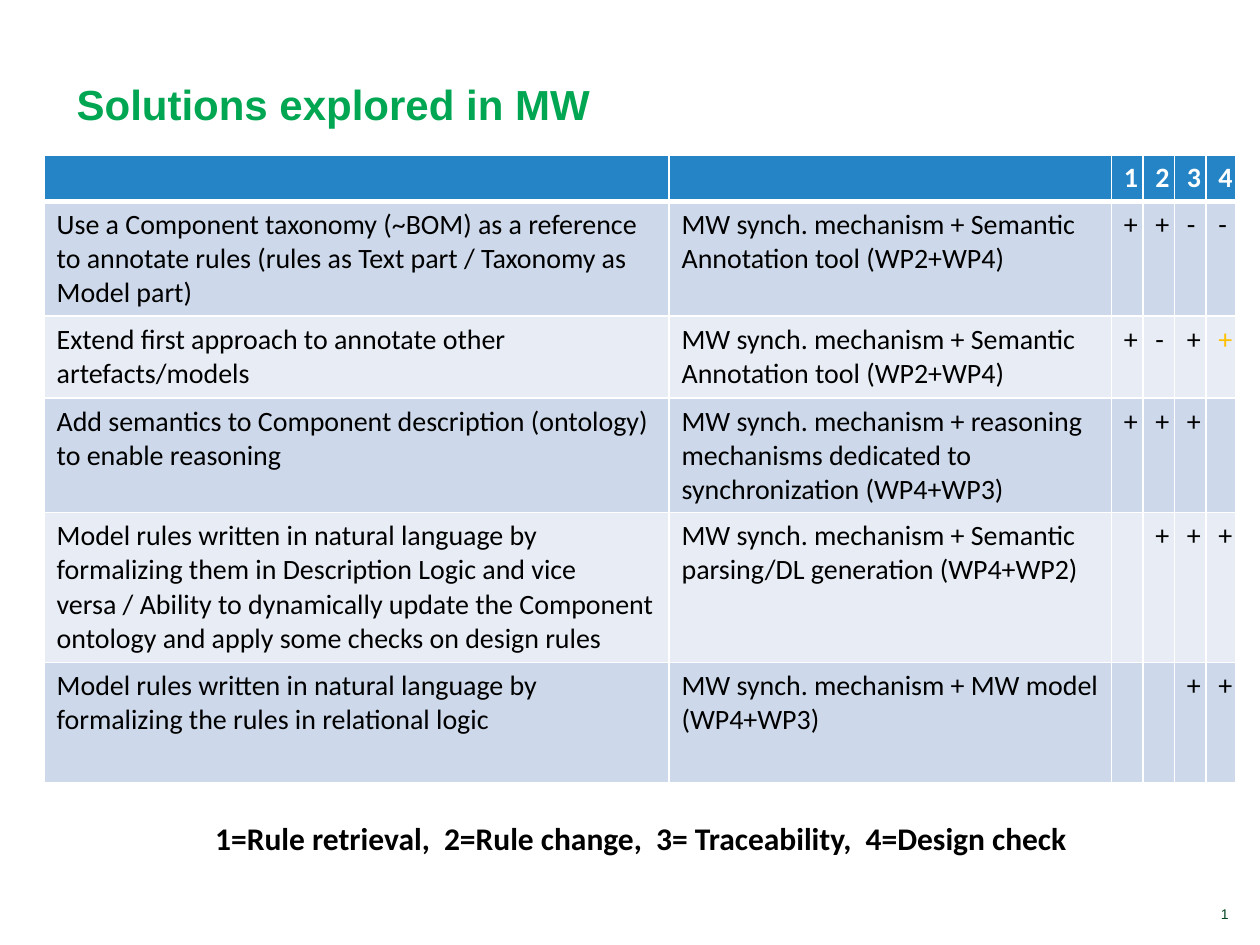
from dataclasses import dataclass

from lxml.etree import SubElement
from pptx import Presentation
from pptx.dml.color import RGBColor as Rgb
from pptx.enum.text import MSO_ANCHOR as Anchor, MSO_AUTO_SIZE as Fit, PP_ALIGN as Align
from pptx.oxml import parse_xml
from pptx.oxml.ns import nsdecls, qn
from pptx.util import Inches, Pt


@dataclass(frozen=True)
class Theme:
    green: str = "00A651"
    dark_green: str = "004621"
    header: str = "2484C6"
    bands: tuple = ("CDD9EA", "E8EDF5")
    white: str = "FFFFFF"
    black: str = "000000"
    amber: str = "FFC000"
    heading: str = "Arial"
    body: str = "Calibri"
    title_size: float = 24
    legend_size: float = 18
    table_size: float = 16
    number_size: float = 8


theme = Theme()


def write(frame, text, color, align=Align.LEFT, **font_values):
    para = frame.paragraphs[0]
    para.alignment = align
    span = para.add_run()
    span.text = text
    span.font.color.rgb = Rgb.from_string(color)
    for name, value in font_values.items():
        setattr(span.font, name, value)


def set_borders(cell, widths):
    for index, (side, width) in enumerate(widths.items()):
        line = parse_xml(
            f'<a:ln{side} {nsdecls("a")} w="{Pt(width)}"><a:solidFill>'
            f'<a:srgbClr val="{theme.white}"/></a:solidFill></a:ln{side}>')
        cell._tc.get_or_add_tcPr().insert(index, line)


deck = Presentation()
deck.slide_width, deck.slide_height = Inches(10), Inches(7.5)
slide = deck.slides.add_slide(deck.slide_layouts[6])

# Title, legend and page number
texts = [
    ("Solutions explored in MW", (0.51, 0.16, 6.81, 0.91), theme.green, Align.LEFT,
     dict(name=theme.heading, size=Pt(theme.title_size), bold=True),
     dict(word_wrap=True, vertical_anchor=Anchor.BOTTOM)),
    ("1=Rule retrieval,  2=Rule change,  3= Traceability,  4=Design check",
     (1.61, 6.45, 6.99, 0.4), theme.black, Align.LEFT,
     dict(name=theme.body, size=Pt(theme.legend_size), bold=True),
     dict(word_wrap=False, auto_size=Fit.SHAPE_TO_FIT_TEXT)),
    ("1", (8.54, 7.14, 1.31, 0.23), theme.dark_green, Align.RIGHT,
     dict(name=theme.heading, size=Pt(theme.number_size)),
     dict(word_wrap=True, vertical_anchor=Anchor.BOTTOM)),
]
for text, place, color, align, font_values, frame_values in texts:
    box = slide.shapes.add_textbox(*map(Inches, place))
    for name, value in frame_values.items():
        setattr(box.text_frame, name, value)
    write(box.text_frame, text, color, align, **font_values)

# Solutions table: approach, mechanism, then one mark for each criterion
rows = [
    ("", "", "1234"),
    ("Use a Component taxonomy (~BOM) as a reference to annotate rules "
     "(rules as Text part / Taxonomy as Model part)",
     "MW synch. mechanism + Semantic Annotation tool (WP2+WP4)", "++--"),
    ("Extend first approach to annotate other artefacts/models",
     "MW synch. mechanism + Semantic Annotation tool (WP2+WP4)", "+-++"),
    ("Add semantics to Component description (ontology) to enable reasoning",
     "MW synch. mechanism + reasoning mechanisms dedicated to synchronization (WP4+WP3)",
     "+++ "),
    ("Model rules written in natural language by formalizing them in Description Logic "
     "and vice versa / Ability to dynamically update the Component ontology and apply "
     "some checks on design rules",
     "MW synch. mechanism + Semantic parsing/DL generation (WP4+WP2)", " +++"),
    ("Model rules written in natural language by formalizing the rules in relational logic",
     "MW synch. mechanism + MW model (WP4+WP3)", "  ++"),
]
column_widths = [4.96, 3.51, 0.25, 0.25, 0.25, 0.24]
row_heights = [0.37, 0.91, 0.65, 0.91, 1.19, 0.95]
amber_mark = (2, 5)

table = slide.shapes.add_table(
    len(rows), len(column_widths), Inches(0.35), Inches(1.23),
    Inches(sum(column_widths)), Inches(sum(row_heights))).table
for column, width in zip(table.columns, column_widths):
    column.width = Inches(width)
for row, height in zip(table.rows, row_heights):
    row.height = Inches(height)

for r, (approach, mechanism, marks) in enumerate(rows):
    is_header = r == 0
    fill = theme.header if is_header else theme.bands[(r - 1) % 2]
    for c, text in enumerate([approach, mechanism, *marks]):
        cell = table.cell(r, c)
        cell.fill.solid()
        cell.fill.fore_color.rgb = Rgb.from_string(fill)
        set_borders(cell, {"L": 1, "R": 1, "T": 3 if r == 1 else 1, "B": 3 if is_header else 1})
        if text.strip():
            color = theme.white if is_header else theme.black
            if (r, c) == amber_mark:
                color = theme.amber
            write(cell.text_frame, text, color, Align.CENTER if c > 1 else Align.LEFT,
                  name=theme.body, size=Pt(theme.table_size), bold=is_header)
        else:
            # Keep empty cells from stretching their row
            end = SubElement(cell.text_frame.paragraphs[0]._p, qn("a:endParaRPr"))
            end.set("sz", str(theme.table_size * 100))

deck.save("out.pptx")
